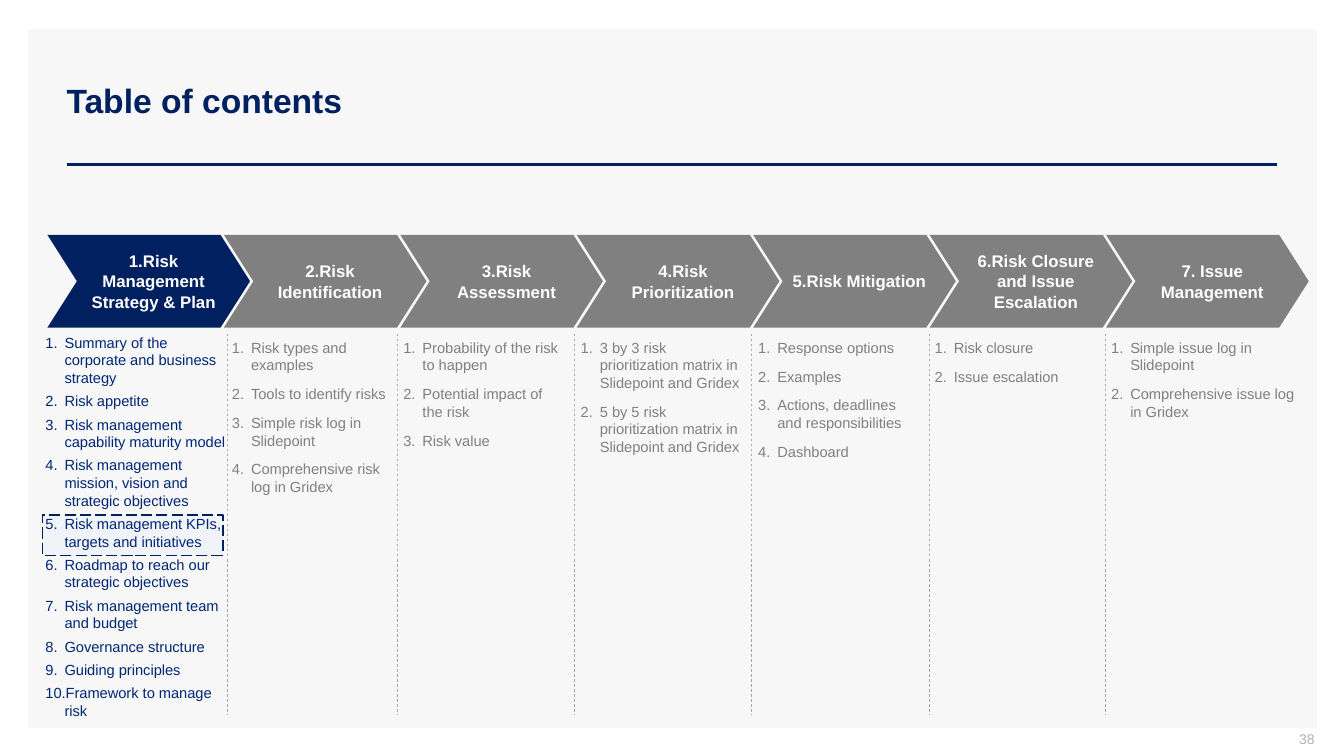
from dataclasses import dataclass

from lxml import etree
from pptx import Presentation
from pptx.dml.color import RGBColor
from pptx.enum.dml import MSO_LINE
from pptx.enum.shapes import MSO_CONNECTOR, MSO_SHAPE
from pptx.enum.text import MSO_ANCHOR, MSO_AUTO_SIZE, PP_ALIGN
from pptx.oxml.ns import qn
from pptx.util import Pt

EMU_PER_PX = 9144
RECTANGLE, CHEVRON = MSO_SHAPE.RECTANGLE, MSO_SHAPE.CHEVRON
STRAIGHT = MSO_CONNECTOR.STRAIGHT
DASH, LONG_DASH = MSO_LINE.DASH, MSO_LINE.LONG_DASH
LEFT, CENTER, RIGHT = PP_ALIGN.LEFT, PP_ALIGN.CENTER, PP_ALIGN.RIGHT
TOP, MIDDLE = MSO_ANCHOR.TOP, MSO_ANCHOR.MIDDLE
FIT_SHAPE, NO_FIT = MSO_AUTO_SIZE.SHAPE_TO_FIT_TEXT, MSO_AUTO_SIZE.NONE


@dataclass(frozen=True)
class Theme:
    font: str = "Arial"
    navy: str = "002060"
    active_text: str = "002776"
    gray: str = "808080"
    divider: str = "A6A6A6"
    panel: str = "F7F7F7"
    highlight: str = "D6E3FF"
    page_number: str = "ADAFBB"
    white: str = "FFFFFF"
    title_size: float = 24
    step_size: float = 12
    list_size: float = 10.5
    page_size: float = 10


@dataclass(frozen=True)
class Stage:
    heading: str
    left: int
    width: int
    height: int
    topics: tuple


STAGES = (
    Stage("1.Risk Management Strategy & Plan", 45, 190, 396, (
        "Summary of the corporate and business strategy",
        "Risk appetite",
        "Risk management capability maturity model",
        "Risk management mission, vision and strategic objectives",
        "Risk management KPIs, targets and initiatives",
        "Roadmap to reach our strategic objectives",
        "Risk management team and budget",
        "Governance structure",
        "Guiding principles",
        "Framework to manage risk")),
    Stage("2.Risk Identification", 230, 170, 196, (
        "Risk types and examples",
        "Tools to identify risks",
        "Simple risk log in Slidepoint",
        "Comprehensive risk log in Gridex")),
    Stage("3.Risk Assessment", 400, 171, 150, (
        "Probability of the risk to happen",
        "Potential impact of the risk",
        "Risk value")),
    Stage("4.Risk Prioritization", 576, 176, 127, (
        "3 by 3 risk prioritization matrix in Slidepoint and Gridex",
        "5 by 5 risk prioritization matrix in Slidepoint and Gridex")),
    Stage("5.Risk Mitigation", 752, 168, 132, (
        "Response options",
        "Examples",
        "Actions, deadlines and responsibilities",
        "Dashboard")),
    Stage("6.Risk Closure and Issue Escalation", 927, 192, 57, (
        "Risk closure",
        "Issue escalation")),
    Stage("7. Issue Management", 1102, 192, 121, (
        "Simple issue log in Slidepoint",
        "Comprehensive issue log in Gridex")),
)
DIVIDERS = (225, 394, 570, 745, 922, 1096)


def px(*lengths):
    return [length * EMU_PER_PX for length in lengths]


class SlideBuilder:
    def __init__(self, slide, theme):
        self.slide = slide
        self.theme = theme

    def style(self, paragraph, size, color, bold=False, align=LEFT):
        paragraph.alignment = align
        font = paragraph.font
        font.name = self.theme.font
        font.size = Pt(size)
        font.bold = bold
        font.color.rgb = RGBColor.from_string(color)

    def frame(self, holder, insets, anchor, fit=NO_FIT):
        frame = holder.text_frame
        frame.word_wrap = True
        frame.auto_size = fit
        frame.vertical_anchor = anchor
        (frame.margin_left, frame.margin_top,
         frame.margin_right, frame.margin_bottom) = px(*insets)
        return frame

    def place(self, placeholder, box):
        (placeholder.left, placeholder.top,
         placeholder.width, placeholder.height) = px(*box)
        placeholder.element.getparent().append(placeholder.element)
        return placeholder

    def shape(self, kind, box, fill):
        shape = self.slide.shapes.add_shape(kind, *px(*box))
        shape.shadow.inherit = False
        shape.fill.solid()
        shape.fill.fore_color.rgb = RGBColor.from_string(fill)
        shape.line.fill.background()
        return shape

    def highlight(self, box):
        marker = self.shape(RECTANGLE, box, self.theme.highlight)
        color = marker.element.spPr.find(qn("a:solidFill"))[0]
        etree.SubElement(color, qn("a:alpha"), val="20000")
        marker.line.color.rgb = RGBColor.from_string(self.theme.navy)
        marker.line.width = Pt(1)
        marker.line.dash_style = LONG_DASH

    def line(self, start, end, color, width, dash=None):
        line = self.slide.shapes.add_connector(STRAIGHT, *px(*start, *end))
        line.line.color.rgb = RGBColor.from_string(color)
        line.line.width = Pt(width)
        if dash:
            line.line.dash_style = dash
        etree.SubElement(line.element.spPr, qn("a:effectLst"))

    def title(self, text, box):
        heading = self.place(self.slide.shapes.title, box)
        frame = self.frame(heading, (10, 5, 10, 5), MIDDLE)
        frame.text = text
        self.style(frame.paragraphs[0], self.theme.title_size, self.theme.navy, True)

    def page_number(self, text, box):
        number = self.slide.shapes.add_textbox(*px(*box))
        frame = self.frame(number, (10, 0, 0, 5), MIDDLE)
        frame.text = text
        self.style(frame.paragraphs[0], self.theme.page_size,
                   self.theme.page_number, align=RIGHT)

    def step(self, text, box, fill):
        step = self.shape(CHEVRON, box, fill)
        step.adjustments[0] = 0.318
        frame = self.frame(step, (10, 5, 0, 5), MIDDLE)
        frame.text = text
        self.style(frame.paragraphs[0], self.theme.step_size,
                   self.theme.white, True, CENTER)

    def numbered_list(self, topics, box, color, gap, placeholder=None):
        if placeholder is None:
            holder = self.slide.shapes.add_textbox(*px(*box))
        else:
            holder = self.place(placeholder, box)
        frame = self.frame(holder, (0, 5, 10, 5), TOP, FIT_SHAPE)
        frame.text = "\n".join(topics)
        indent, = px(19)
        for index, paragraph in enumerate(frame.paragraphs):
            properties = paragraph._p.get_or_add_pPr()
            properties.set("marL", str(indent))
            properties.set("indent", str(-indent))
            etree.SubElement(properties, qn("a:buFont"), typeface="+mj-lt")
            etree.SubElement(properties, qn("a:buAutoNum"), type="arabicPeriod")
            paragraph.space_before = Pt(gap if index else 0)
            paragraph.space_after = Pt(gap)
            self.style(paragraph, self.theme.list_size, color)


def main():
    theme = Theme()
    deck = Presentation()
    deck.slide_width, deck.slide_height = px(1333, 750)
    slide = deck.slides.add_slide(deck.slide_layouts[1])
    contents = SlideBuilder(slide, theme)

    contents.shape(RECTANGLE, (28, 29, 1278, 693), theme.panel)
    contents.line((66, 163), (1267, 163), theme.navy, 2)
    contents.highlight((42, 511, 179, 40))
    contents.title("Table of contents", (56, 40, 1211, 119))
    contents.page_number("38", (1004, 725, 300, 21))

    for index, stage in enumerate(STAGES):
        active = index == 0
        contents.step(stage.heading, (47 + 175 * index, 233, 201, 92),
                      theme.navy if active else theme.gray)
        contents.numbered_list(
            stage.topics,
            (stage.left, 326 if active else 331, stage.width, stage.height),
            theme.active_text if active else theme.gray,
            2 if active else 4,
            slide.placeholders[1] if active else None)
    for x in DIVIDERS:
        contents.line((x, 331), (x, 709), theme.divider, 0.5, DASH)

    deck.save("out.pptx")


if __name__ == "__main__":
    main()
